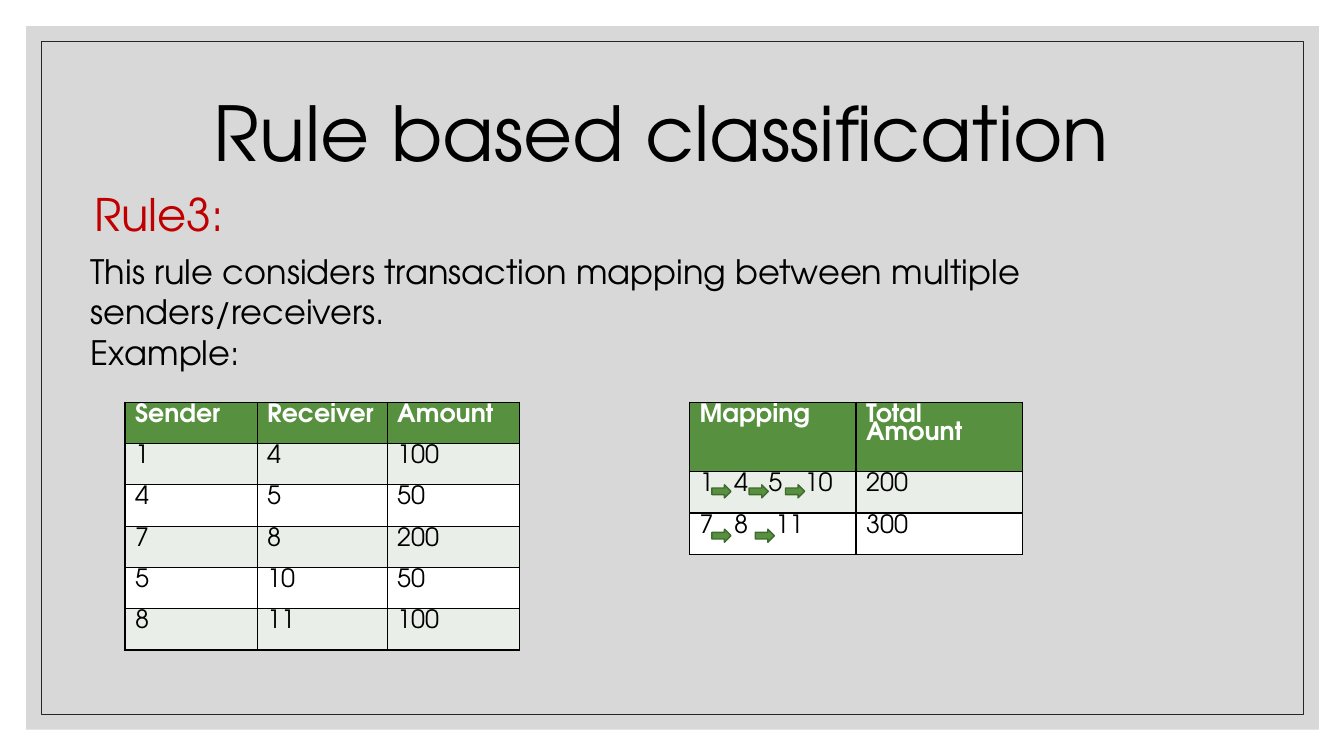
from lxml.etree import SubElement
from pptx import Presentation
from pptx.dml.color import RGBColor
from pptx.enum.shapes import MSO_SHAPE as Shape
from pptx.enum.text import PP_ALIGN as Align
from pptx.oxml.ns import qn
from pptx.util import Inches, Pt

FONT = "TeX Gyre Adventor"
BLACK, WHITE, RED = "000000", "FFFFFF", "C00000"
GREEN, DARK_GREEN, PALE_GREEN = "57903F", "406B2F", "EAEEE8"
ROW_HEIGHT = 0.41


def paint(color_format, color):
    color_format.rgb = RGBColor.from_string(color)


def format_runs(para, size, color, bold=False):
    for span in para.runs:
        span.font.name = FONT
        span.font.size = Pt(size)
        span.font.bold = bold
        paint(span.font.color, color)


def add_text(slide, bounds, lines, size, color=BLACK, align=Align.LEFT, wrap=True):
    box = slide.shapes.add_textbox(*map(Inches, bounds))
    frame = box.text_frame
    frame.word_wrap = wrap
    frame.text = "\n".join(lines)
    for para in frame.paragraphs:
        para.alignment = align
        format_runs(para, size, color)


def add_shape(slide, kind, bounds, fill=None, line=None, width=1):
    shape = slide.shapes.add_shape(kind, *map(Inches, bounds))
    shape.shadow.inherit = False
    if fill:
        shape.fill.solid()
        paint(shape.fill.fore_color, fill)
    else:
        shape.fill.background()
    if line:
        paint(shape.line.color, line)
        shape.line.width = Pt(width)
    else:
        shape.line.fill.background()
    return shape


def set_alpha(shape, percent):
    color = shape.fill._xPr.find(f"{qn('a:solidFill')}/{qn('a:srgbClr')}")
    SubElement(color, qn("a:alpha"), val=str(percent * 1000))


def add_borders(cell):
    properties = cell._tc.get_or_add_tcPr()
    for side in ("lnL", "lnR", "lnT", "lnB"):
        line = SubElement(properties, qn(f"a:{side}"), w=str(Pt(1)))
        fill = SubElement(line, qn("a:solidFill"))
        SubElement(fill, qn("a:srgbClr"), val=BLACK)


def set_tabs(para, stops):
    tabs = SubElement(para._p.get_or_add_pPr(), qn("a:tabLst"))
    for stop in stops:
        SubElement(tabs, qn("a:tab"), pos=str(Inches(stop)), algn="l")


def add_table(slide, left, top, widths, rows, header_height=ROW_HEIGHT):
    height = header_height + ROW_HEIGHT * (len(rows) - 1)
    bounds = map(Inches, (left, top, sum(widths), height))
    table = slide.shapes.add_table(len(rows), len(widths), *bounds).table
    table.horz_banding = False
    for column, width in zip(table.columns, widths):
        column.width = Inches(width)
    for number, (row, values) in enumerate(zip(table.rows, rows)):
        header = number == 0
        row.height = Inches(ROW_HEIGHT if number else header_height)
        color = GREEN if header else PALE_GREEN if number % 2 else WHITE
        for cell, value in zip(row.cells, values):
            add_borders(cell)
            cell.fill.solid()
            paint(cell.fill.fore_color, color)
            para = cell.text_frame.paragraphs[0]
            para.text = value
            para.line_spacing = 0.8
            format_runs(para, 18, WHITE if header else BLACK, header)
    return table


def main():
    deck = Presentation()
    deck.slide_width, deck.slide_height = Inches(13.33), Inches(7.5)
    slide = deck.slides.add_slide(deck.slide_layouts[6])

    panel = add_shape(slide, Shape.RECTANGLE, (0.26, 0.26, 12.82, 6.98), fill="BFBFBF")
    set_alpha(panel, 60)
    add_shape(slide, Shape.RECTANGLE, (0.41, 0.41, 12.52, 6.68), line="262626", width=0.5)

    add_text(slide, (1.97, 0.8, 9.18, 1.01), ["Rule based classification"], 54,
             align=Align.CENTER, wrap=False)
    add_text(slide, (0.38, 1.8, 2.4, 0.64), ["Rule3:"], 32, RED, Align.CENTER)
    add_text(slide, (0.8, 2.44, 11.88, 2.12), [
        "This rule considers transaction mapping between multiple senders/receivers.",
        "Example:",
    ], 24)

    add_table(slide, 1.24, 3.99, (1.31, 1.29, 1.31), [
        ("Sender", "Receiver", "Amount"),
        ("1", "4", "100"),
        ("4", "5", "50"),
        ("7", "8", "200"),
        ("5", "10", "50"),
        ("8", "11", "100"),
    ])
    mapping = add_table(slide, 6.84, 3.99, (1.65, 1.65), [
        ("Mapping", "Total Amount"),
        ("1\t4\t5\t10", "200"),
        ("7\t8\t11", "300"),
    ], header_height=0.69)

    chains = [
        (4.81, (0.34, 0.68, 1.04), (7.06, 7.43, 7.79)),
        (5.25, (0.34, 0.75), (7.06, 7.49)),
    ]
    for row, (top, stops, arrow_lefts) in enumerate(chains, start=1):
        set_tabs(mapping.cell(row, 0).text_frame.paragraphs[0], stops)
        for left in arrow_lefts:
            add_shape(slide, Shape.RIGHT_ARROW, (left, top, 0.19, 0.13), GREEN, DARK_GREEN)

    deck.save("out.pptx")


if __name__ == "__main__":
    main()
